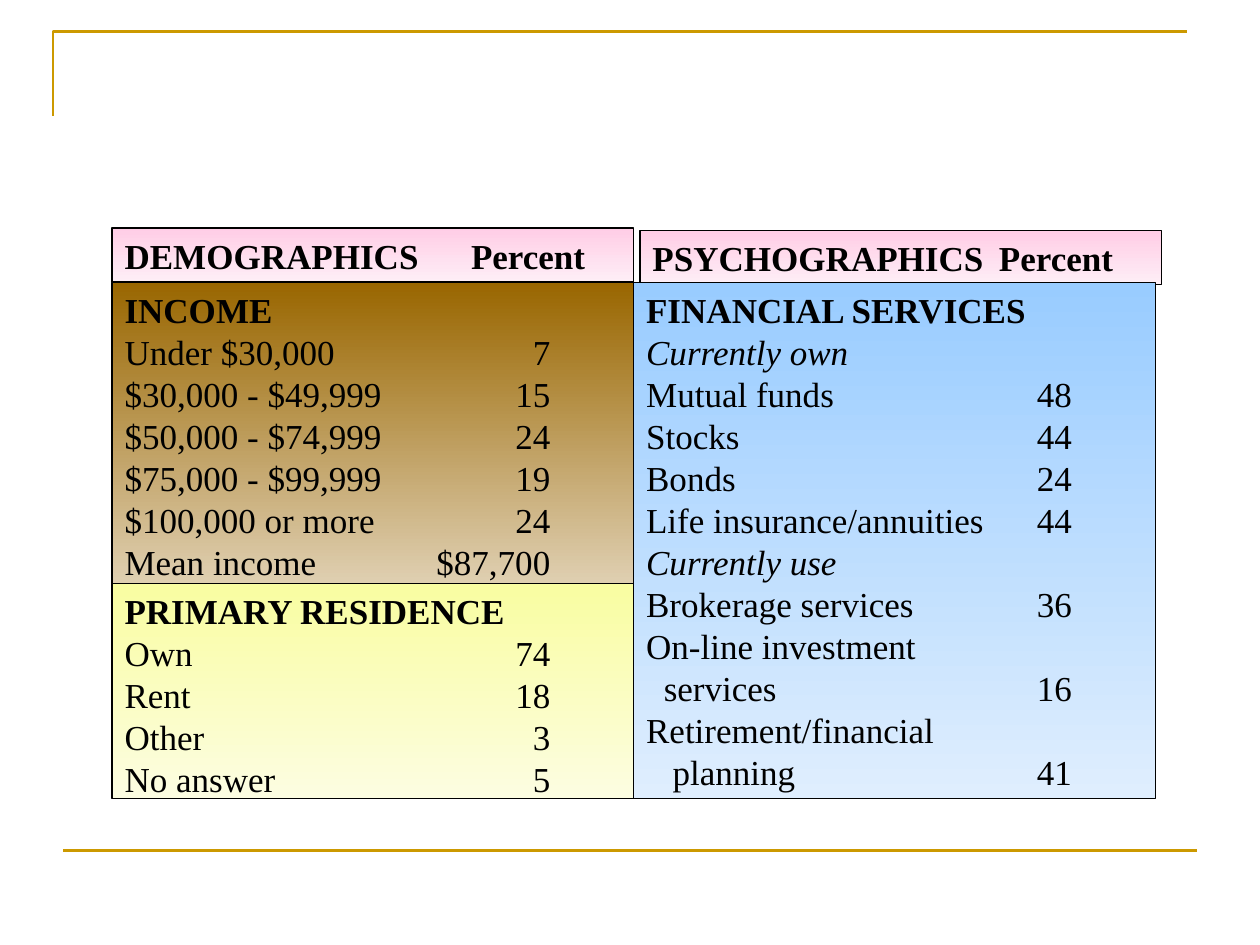
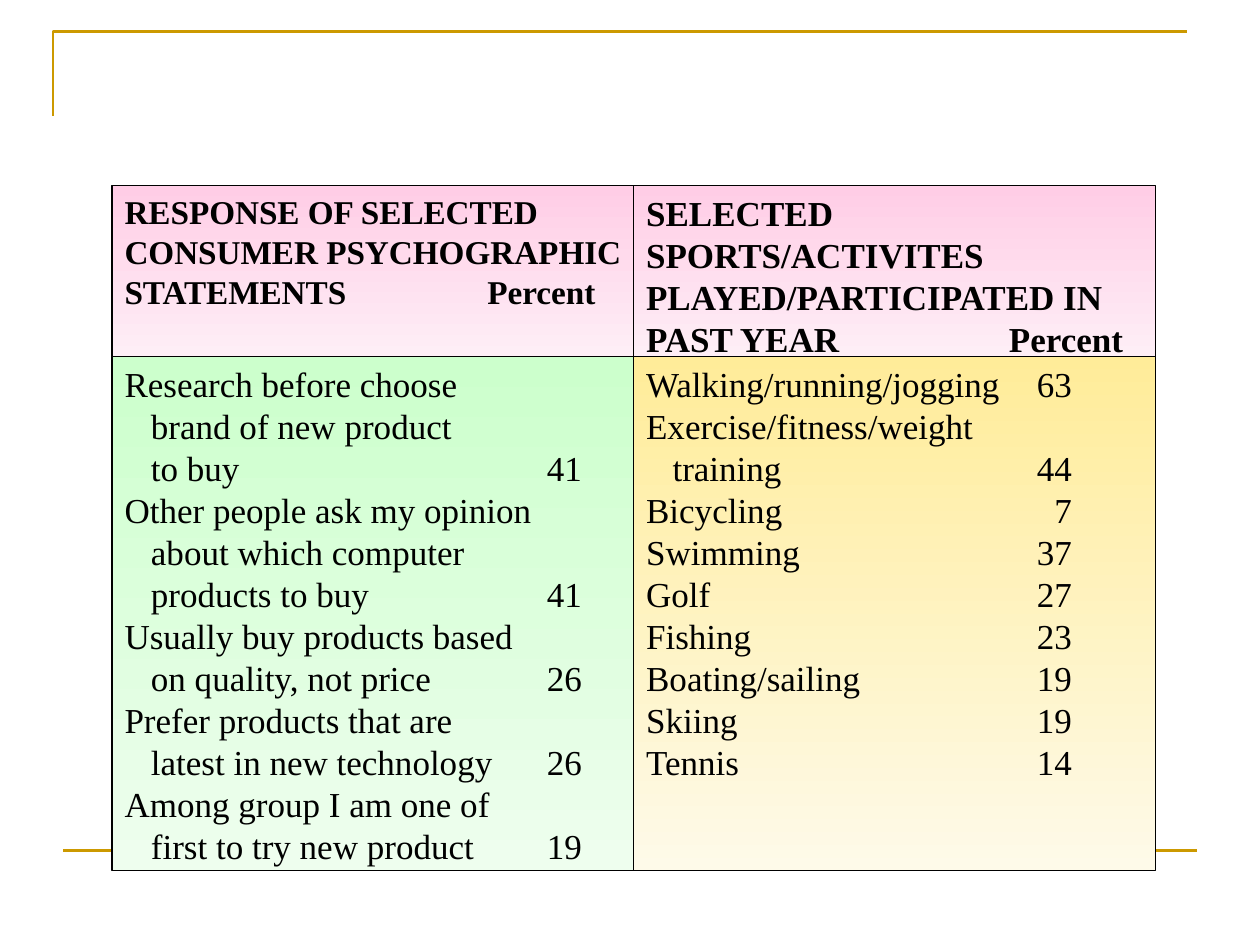
from lxml.etree import SubElement
from pptx import Presentation
from pptx.dml.color import RGBColor
from pptx.enum.shapes import MSO_CONNECTOR, MSO_SHAPE
from pptx.enum.text import MSO_ANCHOR, PP_ALIGN
from pptx.oxml.ns import qn
from pptx.util import Inches, Pt

GOLD = RGBColor(0xCC, 0x99, 0x00)
BLACK = RGBColor(0, 0, 0)
PINK = (RGBColor(0xFF, 0xCD, 0xE6), RGBColor(0xFE, 0xEE, 0xF6))
BROWN = (RGBColor(0x99, 0x66, 0x00), RGBColor(0xDF, 0xCF, 0xB1))
YELLOW = (RGBColor(0xF9, 0xFD, 0xA1), RGBColor(0xFC, 0xFD, 0xE1))
BLUE = (RGBColor(0x99, 0xCC, 0xFF), RGBColor(0xDF, 0xEE, 0xFE))
GREEN = (RGBColor(0xCC, 0xFF, 0xCC), RGBColor(0xEE, 0xFE, 0xEE))
AMBER = (RGBColor(0xFF, 0xEC, 0x99), RGBColor(0xFE, 0xFA, 0xE9))

FONT = "Times New Roman"
LEFT, WIDTH = 0.89, 4.14
RIGHT = LEFT + WIDTH
NARROW_INDENT, INDENT = (0.14, "l"), (0.21, "l")
VALUES = (3.38, "r")
BOLD_LINES = {"INCOME", "PRIMARY RESIDENCE", "FINANCIAL SERVICES"}
ITALIC_LINES = {"Currently own", "Currently use"}


def add_frame(page):
    """Draw the gold corner and footer rule that every slide carries."""
    builder = page.shapes.build_freeform(Inches(0.42), Inches(0.92))
    builder.add_line_segments(
        [(Inches(0.42), Inches(0.25)), (Inches(9.42), Inches(0.25))], close=False)
    corner = builder.convert_to_shape()
    corner.fill.background()
    corner.shadow.inherit = False
    rule = page.shapes.add_connector(
        MSO_CONNECTOR.STRAIGHT, Inches(0.5), Inches(6.75), Inches(9.5), Inches(6.75))
    SubElement(rule._element.spPr, qn("a:effectLst"))
    for stroke in (corner.line, rule.line):
        stroke.color.rgb = GOLD
        stroke.width = Pt(1.5)


def add_panel(page, left, top, height, shades, stops, lines, size=20, bold=False):
    """Add a gradient box whose lines are laid out on (inches, alignment) tab stops."""
    panel = page.shapes.add_shape(
        MSO_SHAPE.RECTANGLE, Inches(left), Inches(top), Inches(WIDTH), Inches(height))
    panel.shadow.inherit = False
    panel.fill.gradient()
    panel.fill.gradient_angle = 270
    for stop, shade in zip(panel.fill.gradient_stops, shades):
        stop.color.rgb = shade
    panel.line.color.rgb = BLACK
    panel.line.width = Pt(0.75)
    frame = panel.text_frame
    frame.word_wrap = True
    frame.vertical_anchor = MSO_ANCHOR.TOP
    frame.text = "\n".join(lines)
    for para in frame.paragraphs:
        para.alignment = PP_ALIGN.LEFT
        tabs = SubElement(para._p.get_or_add_pPr(), qn("a:tabLst"))
        for position, align in stops:
            SubElement(tabs, qn("a:tab"), pos=str(Inches(position)), algn=align)
        for span in para.runs:
            span.font.name = FONT
            span.font.size = Pt(size)
            span.font.color.rgb = BLACK
            span.font.bold = bold or para.text in BOLD_LINES
            span.font.italic = para.text in ITALIC_LINES


deck = Presentation()
deck.slide_width, deck.slide_height = Inches(10), Inches(7.5)
blank = deck.slide_layouts[6]

# Demographics and financial services
page = deck.slides.add_slide(blank)
add_frame(page)
for left, top, heading in ((LEFT, 1.81, "DEMOGRAPHICS"), (5.08, 1.83, "PSYCHOGRAPHICS")):
    add_panel(page, left, top, 0.43, PINK, [(2.75, "l")], [f"{heading}\tPercent"], bold=True)
add_panel(page, LEFT, 2.24, 2.39, BROWN, [VALUES], [
    "INCOME",
    "Under $30,000\t7",
    "$30,000 - $49,999\t15",
    "$50,000 - $74,999\t24",
    "$75,000 - $99,999\t19",
    "$100,000 or more\t24",
    "Mean income\t$87,700",
])
add_panel(page, LEFT, 4.63, 1.71, YELLOW, [VALUES], [
    "PRIMARY RESIDENCE",
    "Own\t74",
    "Rent\t18",
    "Other\t3",
    "No answer\t5",
])
add_panel(page, RIGHT, 2.24, 4.1, BLUE, [NARROW_INDENT, INDENT, VALUES], [
    "FINANCIAL SERVICES",
    "Currently own",
    "Mutual funds\t48",
    "Stocks\t44",
    "Bonds\t24",
    "Life insurance/annuities\t44",
    "Currently use",
    "Brokerage services\t36",
    "On-line investment",
    "\tservices\t16",
    "Retirement/financial",
    "\t\tplanning\t41",
])

# Psychographic statements and sports
page = deck.slides.add_slide(blank)
add_frame(page)
for left, size, heading in (
    (LEFT, 19, "RESPONSE OF SELECTED CONSUMER PSYCHOGRAPHIC STATEMENTS"),
    (RIGHT, 20, "SELECTED SPORTS/ACTIVITES PLAYED/PARTICIPATED IN PAST YEAR"),
):
    add_panel(page, left, 1.47, 1.36, PINK, [(2.88, "l")], [f"{heading}\tPercent"], size, True)
add_panel(page, LEFT, 2.83, 4.08, GREEN, [INDENT, (3.63, "r")], [
    "Research before choose",
    "\tbrand of new product",
    "\tto buy\t41",
    "Other people ask my opinion",
    "\tabout which computer",
    "\tproducts to buy\t41",
    "Usually buy products based",
    "\ton quality, not price\t26",
    "Prefer products that are",
    "\tlatest in new technology\t26",
    "Among group I am one of",
    "\tfirst to try new product\t19",
])
add_panel(page, RIGHT, 2.83, 4.08, AMBER, [INDENT, VALUES], [
    "Walking/running/jogging\t63",
    "Exercise/fitness/weight",
    "\ttraining\t44",
    "Bicycling\t7",
    "Swimming\t37",
    "Golf\t27",
    "Fishing\t23",
    "Boating/sailing\t19",
    "Skiing\t19",
    "Tennis\t14",
])

deck.save("out.pptx")
